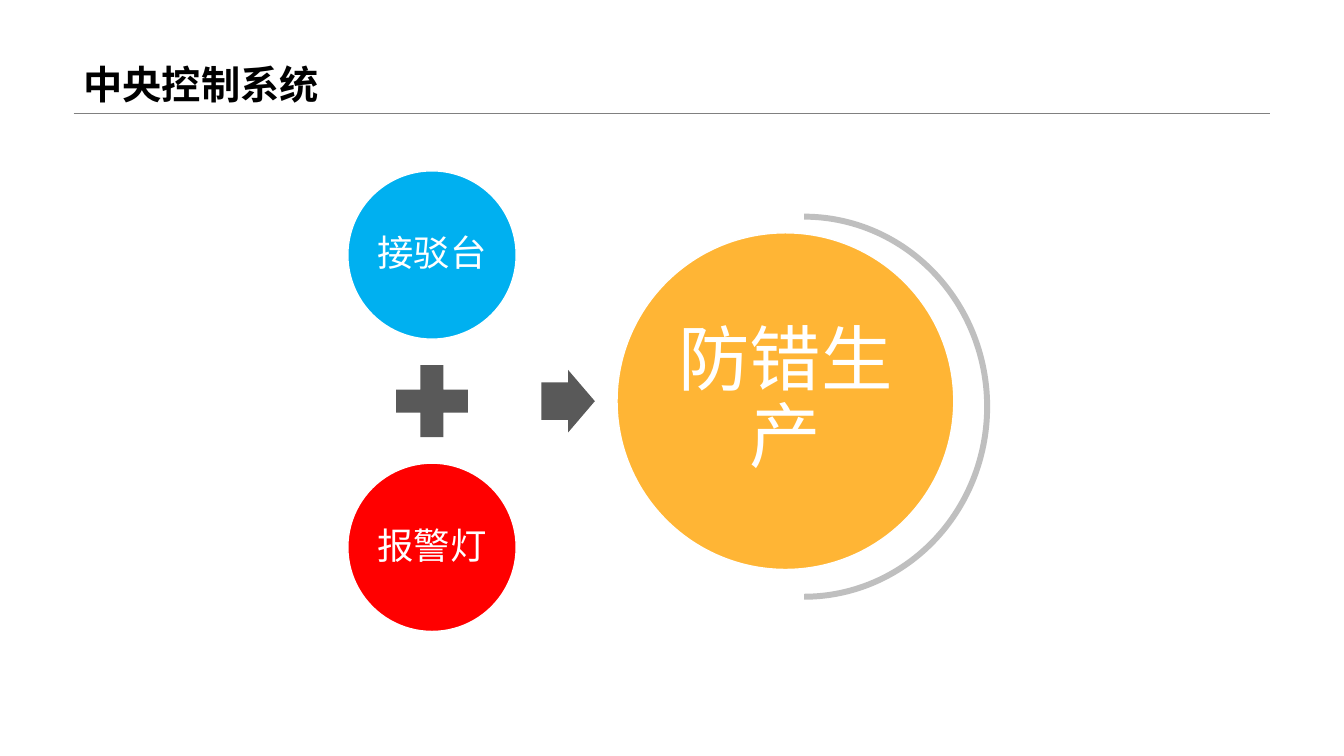
"""Build the central control system slide."""
from dataclasses import dataclass

from lxml.etree import SubElement
from pptx import Presentation
from pptx.dml.color import RGBColor
from pptx.enum.lang import MSO_LANGUAGE_ID as Language
from pptx.enum.shapes import MSO_CONNECTOR as Connector, MSO_SHAPE as Preset
from pptx.enum.text import MSO_ANCHOR as Anchor, MSO_AUTO_SIZE as AutoSize, PP_ALIGN as Align
from pptx.oxml.ns import qn
from pptx.util import Inches, Pt

TITLE = "中央控制系统"
INPUTS = [("接驳台", "00B0F0"), ("报警灯", "FF0000")]
RESULT = ("防错生产", "FFB535")


@dataclass(frozen=True)
class Theme:
    font: str = "Arial"
    title: str = "000000"
    white: str = "FFFFFF"
    rule: str = "808080"
    arc: str = "BFBFBF"
    symbol: str = "595959"
    title_size: int = 28
    input_size: int = 26
    result_size: int = 51


THEME = Theme()
MARGIN, TITLE_WIDTH, TITLE_HEIGHT = 0.73, 11.87, 1.12
MIDDLE = 3.98
INPUT_CENTER, INPUT_SIZE = 4.285, 1.67
PLUS_SIZE, GAP = 0.97, 0.13
RESULT_CENTER, RESULT_SIZE = 7.79, 3.34
ARROW_CENTER, ARROW_WIDTH, ARROW_HEIGHT = 5.635, 0.53, 0.62
ARC_CENTER, ARC_MIDDLE, ARC_WIDTH, ARC_HEIGHT = 7.975, 4.035, 3.69, 3.83


def write_text(shape, text, size, color, bold=False, align=Align.CENTER,
               anchor=Anchor.MIDDLE, inset=None):
    frame = shape.text_frame
    frame.word_wrap = True
    frame.auto_size = AutoSize.NONE
    frame.vertical_anchor = anchor
    if inset is not None:
        frame.margin_left = frame.margin_right = Inches(inset)
        frame.margin_top = frame.margin_bottom = Inches(inset)
    paragraph = frame.paragraphs[0]
    paragraph.alignment = align
    paragraph.line_spacing = 0.9
    run = paragraph.add_run()
    run.text = text
    run.font.name = THEME.font
    run.font.size = Pt(size)
    run.font.bold = bold
    run.font.color.rgb = RGBColor.from_string(color)
    run.font.language_id = Language.SIMPLIFIED_CHINESE


def add_centered(slide, preset, center, middle, width, height, color, adjustments=()):
    shape = slide.shapes.add_shape(
        preset, Inches(center - width / 2), Inches(middle - height / 2),
        Inches(width), Inches(height))
    shape.shadow.inherit = False
    shape.fill.solid()
    shape.fill.fore_color.rgb = RGBColor.from_string(color)
    shape.line.fill.background()
    for index, value in enumerate(adjustments):
        shape.adjustments[index] = value
    return shape


def add_circle(slide, center, middle, diameter, color, text, size, inset):
    circle = add_centered(slide, Preset.OVAL, center, middle, diameter, diameter, color)
    circle.line.color.rgb = RGBColor.from_string(THEME.white)
    circle.line.width = Pt(1)
    write_text(circle, text, size, THEME.white, inset=inset)


def add_heading(slide):
    rule = slide.shapes.add_connector(
        Connector.STRAIGHT, Inches(MARGIN), Inches(TITLE_HEIGHT),
        Inches(MARGIN + TITLE_WIDTH), Inches(TITLE_HEIGHT))
    rule.line.color.rgb = RGBColor.from_string(THEME.rule)
    rule.line.width = Pt(0.25)
    SubElement(rule.element.spPr, qn("a:effectLst"))
    title = slide.shapes.title
    title.left, title.top = Inches(MARGIN), Inches(0)
    title.width, title.height = Inches(TITLE_WIDTH), Inches(TITLE_HEIGHT)
    write_text(title, TITLE, THEME.title_size, THEME.title, bold=True,
               align=Align.LEFT, anchor=Anchor.BOTTOM)


def add_equation(slide):
    add_centered(slide, Preset.BLOCK_ARC, ARC_CENTER, ARC_MIDDLE, ARC_WIDTH, ARC_HEIGHT,
                 THEME.arc, (162, 54, 0.016))
    offset = (PLUS_SIZE + INPUT_SIZE) / 2 + GAP
    for (text, color), side in zip(INPUTS, (-1, 1)):
        add_circle(slide, INPUT_CENTER, MIDDLE + side * offset, INPUT_SIZE, color,
                   text, THEME.input_size, 0.04)
    add_centered(slide, Preset.MATH_PLUS, INPUT_CENTER, MIDDLE, PLUS_SIZE, PLUS_SIZE,
                 THEME.symbol)
    add_centered(slide, Preset.RIGHT_ARROW, ARROW_CENTER, MIDDLE, ARROW_WIDTH, ARROW_HEIGHT,
                 THEME.symbol, (0.6, 0.5))
    text, color = RESULT
    add_circle(slide, RESULT_CENTER, MIDDLE, RESULT_SIZE, color, text, THEME.result_size, 0.07)


def main():
    presentation = Presentation()
    presentation.slide_width, presentation.slide_height = Inches(13.33), Inches(7.5)
    slide = presentation.slides.add_slide(presentation.slide_layouts[5])
    add_heading(slide)
    add_equation(slide)
    presentation.save("out.pptx")


if __name__ == "__main__":
    main()
